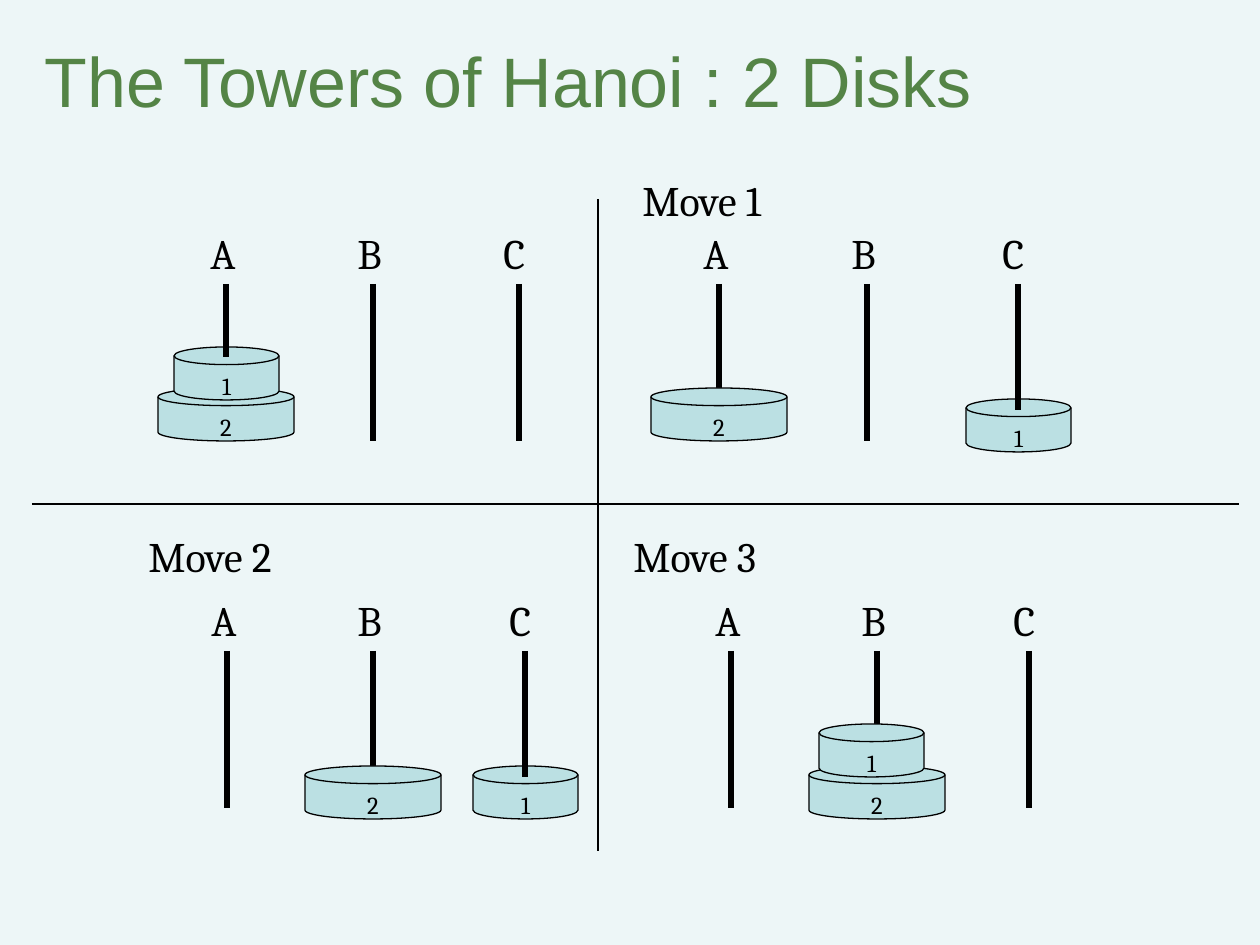
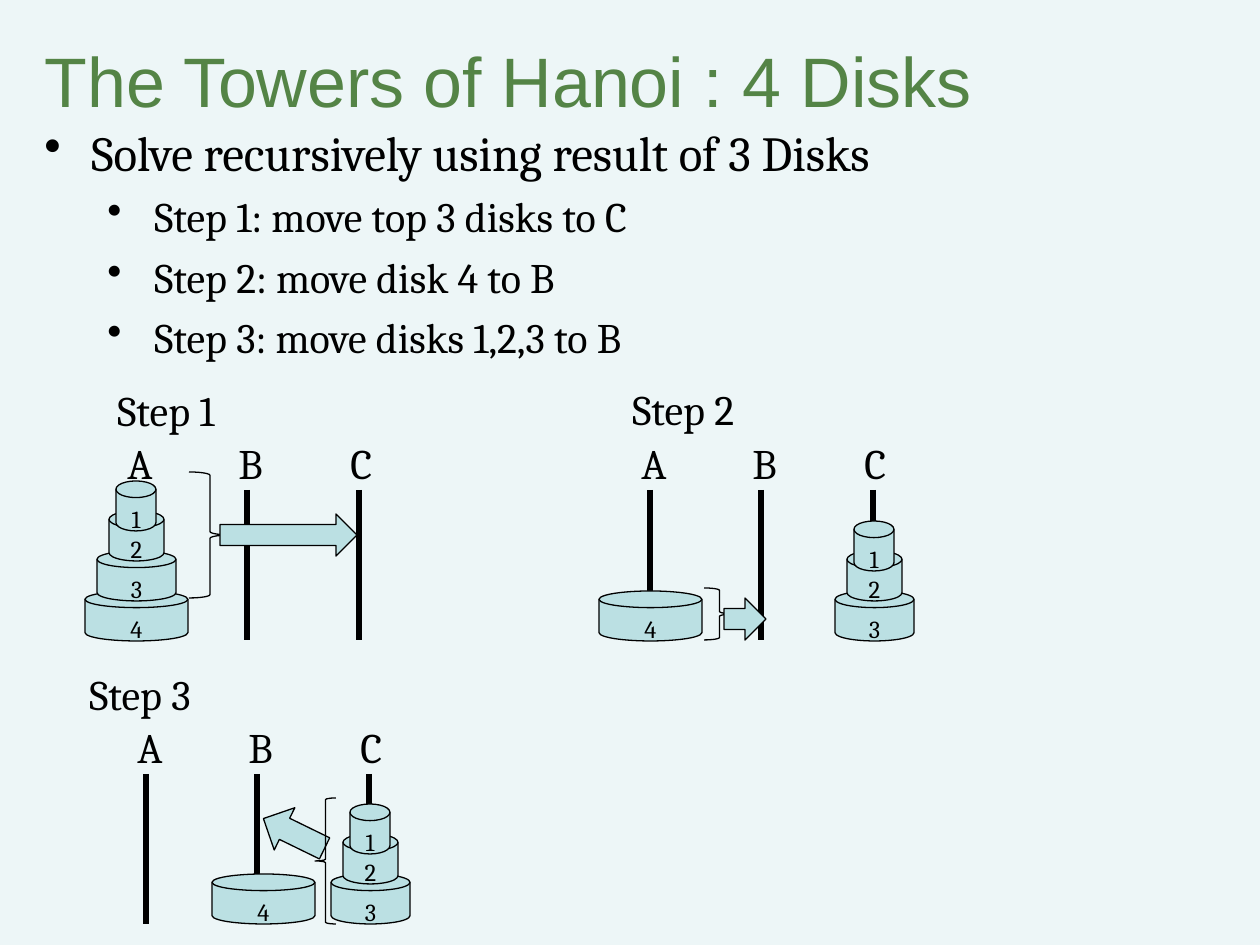
import dataclasses
import typing

import lxml.etree
import pptx
import pptx.dml.color
import pptx.enum.shapes
import pptx.enum.text
import pptx.oxml.ns
import pptx.slide
import pptx.util

SCALE = 914400 / 126
PAPER, GREEN, BLUE, BLACK = "EDF6F7", "548446", "BBE0E3", "000000"
SERIF, SANS = "Cambria", "Arial"
KIND = pptx.enum.shapes.MSO_SHAPE
ANCHOR = pptx.enum.text.MSO_ANCHOR
Slide = pptx.slide.Slide


class Box(typing.NamedTuple):
    left: int
    top: int
    width: int
    height: int


@dataclasses.dataclass
class Peg:
    name: str
    x: int
    foot: int
    over: int = 0  # how many of its two segments lie over the disks


@dataclasses.dataclass
class Disk:
    name: str
    x: int
    top: int


@dataclasses.dataclass
class Style:
    """Sizes shared by all scenes of one slide."""
    widths: dict[str, int]
    height: int
    neck: int  # length of a peg's upper segment
    tag: Box  # peg label, relative to the peg's top


@dataclasses.dataclass
class Scene:
    top: int
    pegs: list[Peg]
    disks: list[Disk]
    title: str = ""
    place: Box = Box(0, 0, 0, 0)


@dataclasses.dataclass
class Mark:
    kind: int
    box: Box
    turn: int = 0


def px(count: float) -> pptx.util.Emu:
    return pptx.util.Emu(round(count * SCALE))


def tint(code: str) -> pptx.dml.color.RGBColor:
    return pptx.dml.color.RGBColor.from_string(code)


def set_font(para, size: int, face: str = SERIF, color: str = BLACK) -> None:
    para.font.size = pptx.util.Pt(size)
    para.font.name = face
    para.font.color.rgb = tint(color)


def add_text(slide: Slide, box: Box, text: str) -> None:
    """Add a label that grows with its text."""
    frame = slide.shapes.add_textbox(*map(px, box)).text_frame
    frame.word_wrap = False
    frame.auto_size = pptx.enum.text.MSO_AUTO_SIZE.SHAPE_TO_FIT_TEXT
    frame.text = text
    set_font(frame.paragraphs[0], 24)


def add_line(slide: Slide, x1: int, y1: int, x2: int, y2: int,
             weight: float = 3) -> None:
    line = slide.shapes.add_connector(
        pptx.enum.shapes.MSO_CONNECTOR.STRAIGHT, *map(px, (x1, y1, x2, y2)))
    line.line.color.rgb = tint(BLACK)
    line.line.width = pptx.util.Pt(weight)
    lxml.etree.SubElement(line._element.spPr, pptx.oxml.ns.qn("a:effectLst"))


def add_shape(slide: Slide, kind: int, box: Box, fill: bool = True):
    """Add a thinly outlined shape, blue or hollow."""
    shape = slide.shapes.add_shape(kind, *map(px, box))
    shape.shadow.inherit = False
    shape.line.color.rgb = tint(BLACK)
    shape.line.width = pptx.util.Pt(0.75)
    if fill:
        shape.fill.solid()
        shape.fill.fore_color.rgb = tint(BLUE)
    else:
        shape.fill.background()
    return shape


def add_disk(slide: Slide, disk: Disk, style: Style) -> None:
    width = style.widths[disk.name]
    box = Box(disk.x - width // 2, disk.top, width, style.height)
    shape = add_shape(slide, KIND.FLOWCHART_MAGNETIC_DISK, box)
    frame = shape.text_frame
    frame.text = disk.name
    frame.vertical_anchor = ANCHOR.TOP
    frame.paragraphs[0].alignment = pptx.enum.text.PP_ALIGN.CENTER
    set_font(frame.paragraphs[0], 14)


def add_pegs(slide: Slide, scene: Scene, style: Style, front: bool) -> None:
    """Draw the peg segments behind the disks, or those in front."""
    neck = scene.top + style.neck
    for peg in scene.pegs:
        if front == (peg.over > 0):
            add_line(slide, peg.x, scene.top, peg.x, neck)
        if front == (peg.over > 1):
            add_line(slide, peg.x, neck, peg.x, peg.foot)


def add_scene(slide: Slide, scene: Scene, style: Style) -> None:
    add_pegs(slide, scene, style, front=False)
    for disk in scene.disks:
        add_disk(slide, disk, style)
    add_pegs(slide, scene, style, front=True)
    for peg in scene.pegs:
        left, top, width, height = style.tag
        add_text(slide, Box(peg.x + left, scene.top + top, width, height),
                 peg.name)
    if scene.title:
        add_text(slide, scene.place, scene.title)


def add_mark(slide: Slide, mark: Mark) -> None:
    """Draw a block arrow, or a hollow brace."""
    brace = mark.kind in (KIND.LEFT_BRACE, KIND.RIGHT_BRACE)
    shape = add_shape(slide, mark.kind, mark.box, fill=not brace)
    shape.rotation = mark.turn
    shape.adjustments[0] = 0.08 if brace else 0.5
    shape.adjustments[1] = 0.5


def add_points(slide: Slide, box: Box, points: list[str]) -> None:
    """Add a bullet list: the first point leads, the rest are indented."""
    frame = slide.shapes.add_textbox(*map(px, box)).text_frame
    frame.word_wrap = True
    frame.text = "\n".join(points)
    for rank, para in enumerate(frame.paragraphs):
        set_font(para, 24 if rank else 28)
        para.space_before = pptx.util.Pt(5.6)
        para.level = min(rank, 1)
        props = para._p.get_or_add_pPr()
        props.set("marL", str(px(110 if rank else 47)))
        props.set("indent", str(px(-47)))
        bullet = lxml.etree.Element(pptx.oxml.ns.qn("a:buChar"), char="•")
        props.find(pptx.oxml.ns.qn("a:spcBef")).addnext(bullet)


def add_slide(deck, title: str) -> Slide:
    slide = deck.slides.add_slide(deck.slide_layouts[6])
    slide.background.fill.solid()
    slide.background.fill.fore_color.rgb = tint(PAPER)
    frame = slide.shapes.add_textbox(*map(px, (32, 0, 1166, 158))).text_frame
    frame.word_wrap = True
    frame.vertical_anchor = ANCHOR.MIDDLE
    frame.text = title
    set_font(frame.paragraphs[0], 40, SANS, GREEN)
    return slide


def stack(x: int, base: int) -> list[Disk]:
    """Pile disks 3, 2 and 1 on each other, the lowest with its top at base."""
    return [Disk(name, x, base - rise)
            for name, rise in (("3", 0), ("2", 40), ("1", 70))]


TWO = Style({"1": 105, "2": 136}, 53, 73, Box(-28, -63, 55, 64))
FOUR = Style({"1": 40, "2": 55, "3": 79, "4": 103}, 50, 71,
             Box(-21, -59, 42, 60))

MOVES = [
    Scene(284, [Peg("A", 226, 441, 1), Peg("B", 373, 441), Peg("C", 519, 441)],
          [Disk("2", 226, 388), Disk("1", 226, 347)]),
    Scene(284, [Peg("A", 719, 441), Peg("B", 867, 441), Peg("C", 1018, 410, 2)],
          [Disk("2", 719, 388), Disk("1", 1018, 399)],
          "Move 1", Box(630, 168, 156, 64)),
    Scene(651, [Peg("A", 227, 808), Peg("B", 373, 766), Peg("C", 525, 777, 2)],
          [Disk("2", 373, 766), Disk("1", 525, 766)],
          "Move 2", Box(136, 524, 156, 64)),
    Scene(651, [Peg("A", 731, 808), Peg("B", 877, 766), Peg("C", 1029, 808)],
          [Disk("2", 877, 766), Disk("1", 871, 724)],
          "Move 3", Box(621, 524, 156, 64)),
]

STEPS = [
    Scene(490, [Peg("A", 136, 640), Peg("B", 247, 640), Peg("C", 359, 640)],
          [Disk("4", 136, 591), *stack(136, 551)],
          "Step 1", Box(105, 378, 132, 64)),
    Scene(490, [Peg("A", 650, 640), Peg("B", 761, 640), Peg("C", 873, 640)],
          [Disk("4", 650, 591), *stack(874, 591)],
          "Step 2", Box(620, 377, 132, 64)),
    Scene(774, [Peg("A", 146, 924), Peg("B", 257, 924), Peg("C", 369, 924)],
          [Disk("4", 263, 874), *stack(370, 874)],
          "Step 3", Box(77, 662, 132, 64)),
]

MARKS = [
    Mark(KIND.RIGHT_BRACE, Box(189, 472, 42, 126)),
    Mark(KIND.RIGHT_ARROW, Box(220, 514, 137, 42)),
    Mark(KIND.RIGHT_BRACE, Box(704, 588, 31, 52)),
    Mark(KIND.RIGHT_ARROW, Box(724, 598, 42, 42)),
    Mark(KIND.LEFT_ARROW, Box(260, 810, 68, 47), 26),
    Mark(KIND.LEFT_BRACE, Box(315, 798, 21, 126)),
]

POINTS = [
    "Solve recursively using result of 3 Disks",
    "Step 1: move top 3 disks to C",
    "Step 2: move disk 4 to B",
    "Step 3: move disks 1,2,3 to B",
]


def main() -> None:
    deck = pptx.Presentation()
    deck.slide_width, deck.slide_height = px(1260), px(945)

    slide = add_slide(deck, "The Towers of Hanoi : 2 Disks")
    for scene in MOVES:
        add_scene(slide, scene, TWO)
    add_line(slide, 32, 504, 1239, 504, 0.75)
    add_line(slide, 598, 199, 598, 851, 0.75)

    slide = add_slide(deck, "The Towers of Hanoi : 4 Disks")
    add_points(slide, Box(32, 116, 1176, 262), POINTS)
    for scene in STEPS:
        add_scene(slide, scene, FOUR)
    for mark in MARKS:
        add_mark(slide, mark)

    deck.save("out.pptx")


if __name__ == "__main__":
    main()
